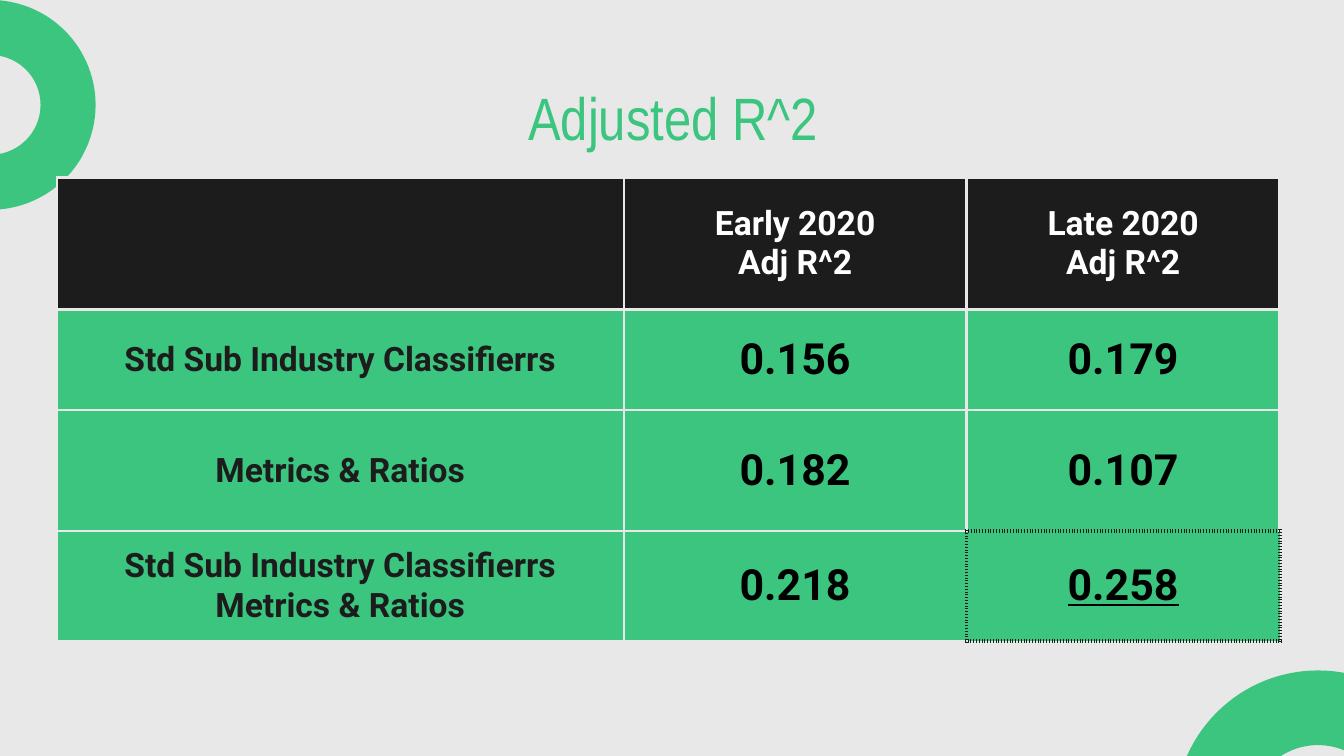
import math

import pptx
import pptx.dml.color
import pptx.enum.text
import pptx.util
from lxml import etree
from pptx.oxml.ns import qn

Pt = pptx.util.Pt
ALIGN = pptx.enum.text.PP_ALIGN
ANCHOR = pptx.enum.text.MSO_ANCHOR

HUES = {
    "back": "E8E8E8",
    "green": "3BC57F",
    "dark": "1C1C1C",
    "white": "FFFFFF",
    "black": "000000",
}
SIDES = ("lnL", "lnR", "lnT", "lnB")
PAD = Pt(7.2)

COLS = (303.8, 183.6, 167.8)
ROWS = (70.6, 54, 64.8, 59)
DATA = (
    ("", "Early 2020\nAdj R^2", "Late 2020\nAdj R^2"),
    ("Std Sub Industry Classifierrs", "0.156", "0.179"),
    ("Metrics & Ratios", "0.182", "0.107"),
    ("Std Sub Industry Classifierrs\nMetrics & Ratios", "0.218", "0.258"),
)
BEST = (3, 2)


def paint(fill, hue):
    fill.solid()
    fill.fore_color.rgb = pptx.dml.color.RGBColor.from_string(HUES[hue])


def write(frame, text, font="Roboto", size=18, hue="dark", bold=False, under=False):
    """Fill a text frame with centred lines in one format."""
    frame.text = text
    for para in frame.paragraphs:
        para.alignment = ALIGN.CENTER
        for run in para.runs:
            run.font.name = font
            run.font.size = Pt(size)
            run.font.bold = bold
            run.font.underline = under
            run.font.color.rgb = pptx.dml.color.RGBColor.from_string(HUES[hue])


def add_ring(slide, box, hole, turn):
    """Half ring in a square box; turn is its first angle in degrees."""
    left, top, side = box
    outer = side / 2
    mid_x, mid_y = left + outer, top + outer

    def arc(radius):
        angles = [math.radians(turn + step) for step in range(0, 181, 3)]
        return [(Pt(mid_x + radius * math.cos(a)), Pt(mid_y + radius * math.sin(a)))
                for a in angles]

    points = arc(outer) + arc(hole)[::-1]
    form = slide.shapes.build_freeform(*points[0], scale=1.0)
    form.add_line_segments(points[1:], close=True)
    ring = form.convert_to_shape()
    ring.shadow.inherit = False
    paint(ring.fill, "green")
    ring.line.fill.background()


def add_title(slide, box, text):
    title = slide.shapes.title
    title.left, title.top, title.width, title.height = map(Pt, box)
    frame = title.text_frame
    frame.word_wrap = True
    frame.auto_size = pptx.enum.text.MSO_AUTO_SIZE.NONE
    frame.vertical_anchor = ANCHOR.TOP
    frame.margin_left = frame.margin_right = PAD
    frame.margin_top = frame.margin_bottom = PAD
    write(frame, text, font="Arial Narrow", size=32, hue="green")


def add_edges(cell, dotted):
    """Draw all four borders; the sides in dotted are dark dots."""
    props = cell._tc.get_or_add_tcPr()
    for spot, side in enumerate(SIDES):
        dots = side in dotted
        line = etree.Element(qn("a:" + side), w=str(Pt(2.25 if dots else 1.5)))
        solid = etree.SubElement(line, qn("a:solidFill"))
        etree.SubElement(solid, qn("a:srgbClr"), val=HUES["dark" if dots else "back"])
        etree.SubElement(line, qn("a:prstDash"), val="dot" if dots else "solid")
        props.insert(spot, line)


def add_grid(slide, box):
    grid = slide.shapes.add_table(len(ROWS), len(COLS), *map(Pt, box)).table
    for col, width in zip(grid.columns, COLS):
        col.width = Pt(width)
    for row, height in zip(grid.rows, ROWS):
        row.height = Pt(height)

    # The best cell and the sides its neighbours share with it
    row, col = BEST
    dotted = {BEST: SIDES, (row - 1, col): ("lnB",), (row, col - 1): ("lnR",)}

    for r, texts in enumerate(DATA):
        for c, text in enumerate(texts):
            cell = grid.cell(r, c)
            cell.vertical_anchor = ANCHOR.MIDDLE
            cell.margin_left = cell.margin_right = PAD
            cell.margin_top = cell.margin_bottom = PAD
            paint(cell.fill, "green" if r else "dark")
            add_edges(cell, dotted.get((r, c), ()))
            if r == 0:
                look = {"hue": "white"}
            elif c == 0:
                look = {"hue": "dark"}
            else:
                look = {"hue": "black", "size": 23, "under": (r, c) == BEST}
            write(cell.text_frame, text, bold=True, **look)


def main():
    deck = pptx.Presentation()
    deck.slide_width, deck.slide_height = Pt(720), Pt(405)
    slide = deck.slides.add_slide(deck.slide_layouts[5])
    paint(slide.background.fill, "back")

    # Corner rings
    add_ring(slide, (-61.2, 0, 112.4), hole=26.7, turn=-90)
    add_ring(slide, (629.4, 359.2, 153.4), hole=36.7, turn=180)

    # Title and results
    add_title(slide, (61.2, 36, 599, 45.4), "Adjusted R^2")
    add_grid(slide, (30.4, 95.2, sum(COLS), sum(ROWS)))

    deck.save("out.pptx")


if __name__ == "__main__":
    main()
